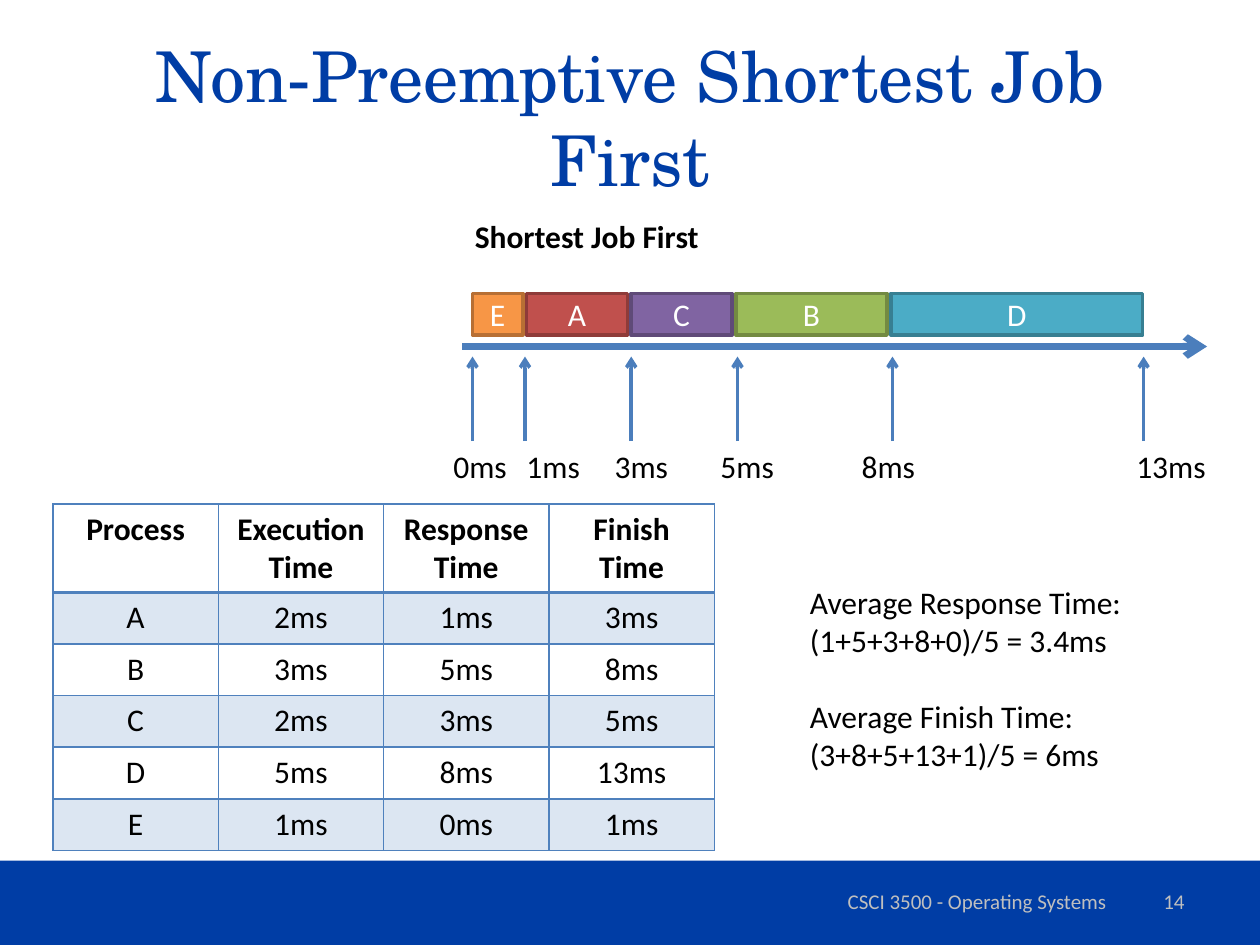
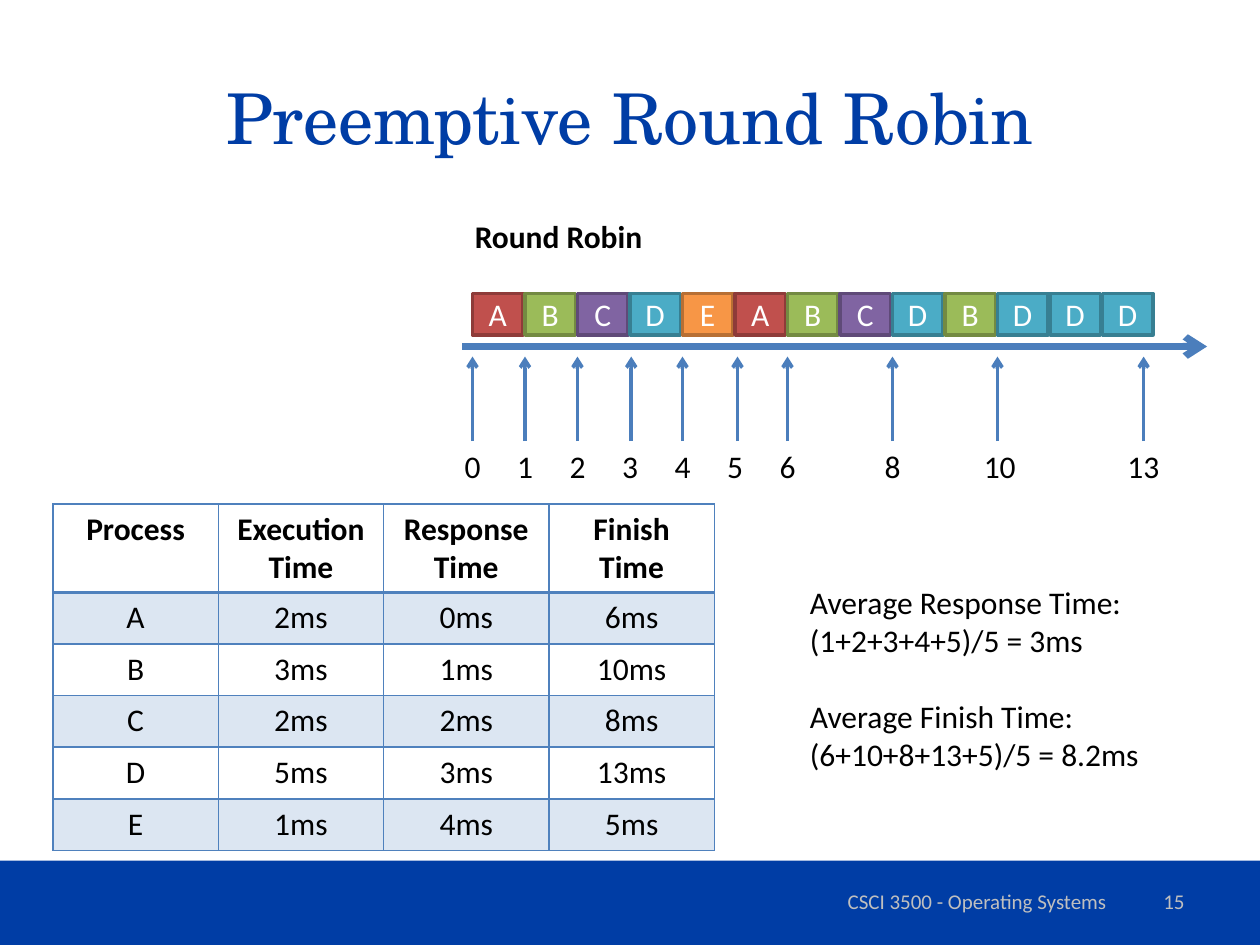
from lxml import etree
from pptx import Presentation
from pptx.dml.color import RGBColor
from pptx.enum import shapes, text
from pptx.oxml import ns
from pptx.util import Inches, Pt

COLORS = {
    "blue": "003DA5", "grey": "BFBFBF", "black": "000000", "white": "FFFFFF",
    "arrow": "4B7EBC", "border": "4F81BD", "stripe": "DCE6F2",
}
JOB_COLORS = {
    "A": ("C0504D", "8E3B39"), "B": ("9BBB59", "738A42"), "C": ("8064A2", "5F4A78"),
    "D": ("4BACC6", "377F92"), "E": ("F79646", "B76F34"),
}
EXECUTION = {"A": 2, "B": 3, "C": 2, "D": 5, "E": 1}
HEADERS = ["Process", "Execution Time", "Response Time", "Finish Time"]
ORIGIN, PITCH, UNIT = 3.75, 5 / 12, 0.4
TICK_SHIFT = {3: 0.01, 5: 0.02, 13: -0.09}
CENTER, LEFT, RIGHT = text.PP_ALIGN.CENTER, text.PP_ALIGN.LEFT, text.PP_ALIGN.RIGHT
MIDDLE, TOP = text.MSO_ANCHOR.MIDDLE, text.MSO_ANCHOR.TOP

SCHEDULES = [
    {
        "title": "Non-Preemptive Shortest Job First", "number": 14,
        "caption": "Shortest Job First", "caption_width": 1.99,
        "runs": [(job, EXECUTION[job]) for job in "EACBD"], "gap": 0.03,
        "labels": {0: 3.5, 1: 4.08, 3: 4.78, 5: 5.62, 8: 6.74, 13: 8.92}, "suffix": "ms",
        "response": {"A": 1, "B": 5, "C": 3, "D": 8, "E": 0},
        "finish": {"A": 3, "B": 8, "C": 5, "D": 13, "E": 1},
        "averages": ["(1+5+3+8+0)/5 = 3.4ms", "(3+8+5+13+1)/5 = 6ms"], "averages_width": 2.7,
    },
    {
        "title": "Preemptive Round Robin", "number": 15,
        "caption": "Round Robin", "caption_width": 1.54,
        "runs": [(job, 1) for job in "ABCDEABCDBDDD"], "gap": PITCH - UNIT,
        "labels": {**{t: 3.59 + t * PITCH for t in (0, 1, 2, 3, 4, 5, 6, 8)}, 10: 7.71, 13: 8.85},
        "suffix": "",
        "response": {"A": 0, "B": 1, "C": 2, "D": 3, "E": 4},
        "finish": {"A": 6, "B": 10, "C": 8, "D": 13, "E": 5},
        "averages": ["(1+2+3+4+5)/5 = 3ms", "(6+10+8+13+5)/5 = 8.2ms"], "averages_width": 2.84,
    },
]


def rgb(name):
    """Return the colour for a palette name or a hex string."""
    return RGBColor.from_string(COLORS.get(name, name))


def style(p, size=18, color="black", bold=False, align=LEFT, font="Calibri"):
    """Set the alignment and font of a paragraph."""
    p.alignment = align
    p.font.size, p.font.name, p.font.bold = Pt(size), font, bold
    p.font.color.rgb = rgb(color)


def add_text(s, lines, left, top, width, height, wrap=False, anchor=TOP, **look):
    """Add a text box with one paragraph per line and return its paragraphs."""
    sp = s.shapes.add_textbox(Inches(left), Inches(top), Inches(width), Inches(height))
    tf = sp.text_frame
    tf.word_wrap, tf.vertical_anchor = wrap, anchor
    if not wrap:
        tf.auto_size = text.MSO_AUTO_SIZE.SHAPE_TO_FIT_TEXT
    tf.text = "\n".join(lines)
    for p in tf.paragraphs:
        style(p, **look)
    return tf.paragraphs


def add_box(s, left, top, width, height, fill, line=None):
    """Add a filled rectangle, outlined when a line colour is given."""
    sp = s.shapes.add_shape(shapes.MSO_SHAPE.RECTANGLE, Inches(left), Inches(top),
                            Inches(width), Inches(height))
    sp.shadow.inherit = False
    sp.fill.solid()
    sp.fill.fore_color.rgb = rgb(fill)
    if line:
        sp.line.color.rgb, sp.line.width = rgb(line), Pt(2)
    else:
        sp.line.fill.background()
    return sp


def add_arrow(s, x1, y1, x2, y2, width):
    """Add a straight arrow pointing at its second end."""
    c = s.shapes.add_connector(shapes.MSO_CONNECTOR.STRAIGHT, Inches(x1), Inches(y1),
                               Inches(x2), Inches(y2))
    c.line.color.rgb, c.line.width = rgb("arrow"), Pt(width)
    ln = c.line._get_or_add_ln()
    etree.SubElement(ln, ns.qn("a:tailEnd"), type="arrow")
    etree.SubElement(c._element.spPr, ns.qn("a:effectLst"))


def add_borders(cell, widths):
    """Draw the cell borders, with widths in points by side."""
    tcPr = cell._tc.get_or_add_tcPr()
    for side, width in widths.items():
        ln = etree.SubElement(tcPr, ns.qn(f"a:ln{side}"), w=str(Pt(width)))
        fill = etree.SubElement(ln, ns.qn("a:solidFill"))
        etree.SubElement(fill, ns.qn("a:srgbClr"), val=COLORS["border"])


def add_frame(s, title, number):
    """Add the bottom band, title and footer that every slide shares."""
    add_box(s, 0, 6.83, 10, 0.67, "blue")
    add_text(s, [title], 0.5, 0.3, 9, 1.25, wrap=True, anchor=MIDDLE,
             size=40, color="blue", align=CENTER, font="TeX Gyre Schola")
    footer = dict(wrap=True, anchor=MIDDLE, size=12, color="grey")
    add_text(s, ["CSCI 3500 - Operating Systems"], 6.17, 6.95, 3.17, 0.4, align=CENTER, **footer)
    add_text(s, [str(number)], 7.17, 6.95, 2.33, 0.4, align=RIGHT, **footer)


def add_job_table(s, response, finish):
    """Add the table of times per process."""
    rows = [HEADERS] + [[job] + [f"{times[job]}ms" for times in (EXECUTION, response, finish)]
                        for job in EXECUTION]
    table = s.shapes.add_table(len(rows), len(HEADERS), Inches(0.42), Inches(4),
                               Inches(5.25), Inches(2.75)).table
    for r, row in enumerate(rows):
        table.rows[r].height = Inches(0.41 if r else 0.7)
        for c, value in enumerate(row):
            cell = table.cell(r, c)
            cell.text = value
            style(cell.text_frame.paragraphs[0], bold=r == 0, align=CENTER)
            add_borders(cell, {"L": 1, "R": 1, "T": 2 if r == 1 else 1, "B": 1 if r else 2})
            if r % 2:
                cell.fill.solid()
                cell.fill.fore_color.rgb = rgb("stripe")
            else:
                cell.fill.background()


def add_timeline(s, caption, caption_width, runs, gap, labels, suffix):
    """Add the job blocks, time axis and labelled ticks."""
    add_arrow(s, 3.67, 2.75, 9.58, 2.75, 4)
    add_text(s, [caption], 3.67, 1.67, caption_width, 0.4, bold=True)
    left = ORIGIN
    for job, duration in runs:
        sp = add_box(s, left, 2.33, duration * UNIT, 0.33, *JOB_COLORS[job])
        tf = sp.text_frame
        tf.text, tf.vertical_anchor = job, MIDDLE
        style(tf.paragraphs[0], color="white", align=CENTER)
        left += duration * UNIT + gap
    for time, label_left in labels.items():
        x = ORIGIN + time * PITCH + TICK_SHIFT.get(time, 0)
        add_arrow(s, x, 3.5, x, 2.83, 2)
        width = 0.2 + 0.13 * len(str(time)) + 0.15 * len(suffix)
        add_text(s, [f"{time}{suffix}"], label_left, 3.5, width, 0.4)


def add_averages(s, averages, width):
    """Add the average response and finish times."""
    response, finish = averages
    lines = ["Average Response Time:", response, "Average Finish Time:", finish]
    add_text(s, lines, 6.33, 4.58, width, 1.62)[2].space_before = Pt(22)


def main():
    """Build one slide per schedule."""
    prs = Presentation()
    prs.slide_width, prs.slide_height = Inches(10), Inches(7.5)
    for plan in SCHEDULES:
        s = prs.slides.add_slide(prs.slide_layouts[6])
        add_frame(s, plan["title"], plan["number"])
        add_job_table(s, plan["response"], plan["finish"])
        add_timeline(s, plan["caption"], plan["caption_width"], plan["runs"], plan["gap"],
                     plan["labels"], plan["suffix"])
        add_averages(s, plan["averages"], plan["averages_width"])
    prs.save("out.pptx")


if __name__ == "__main__":
    main()
